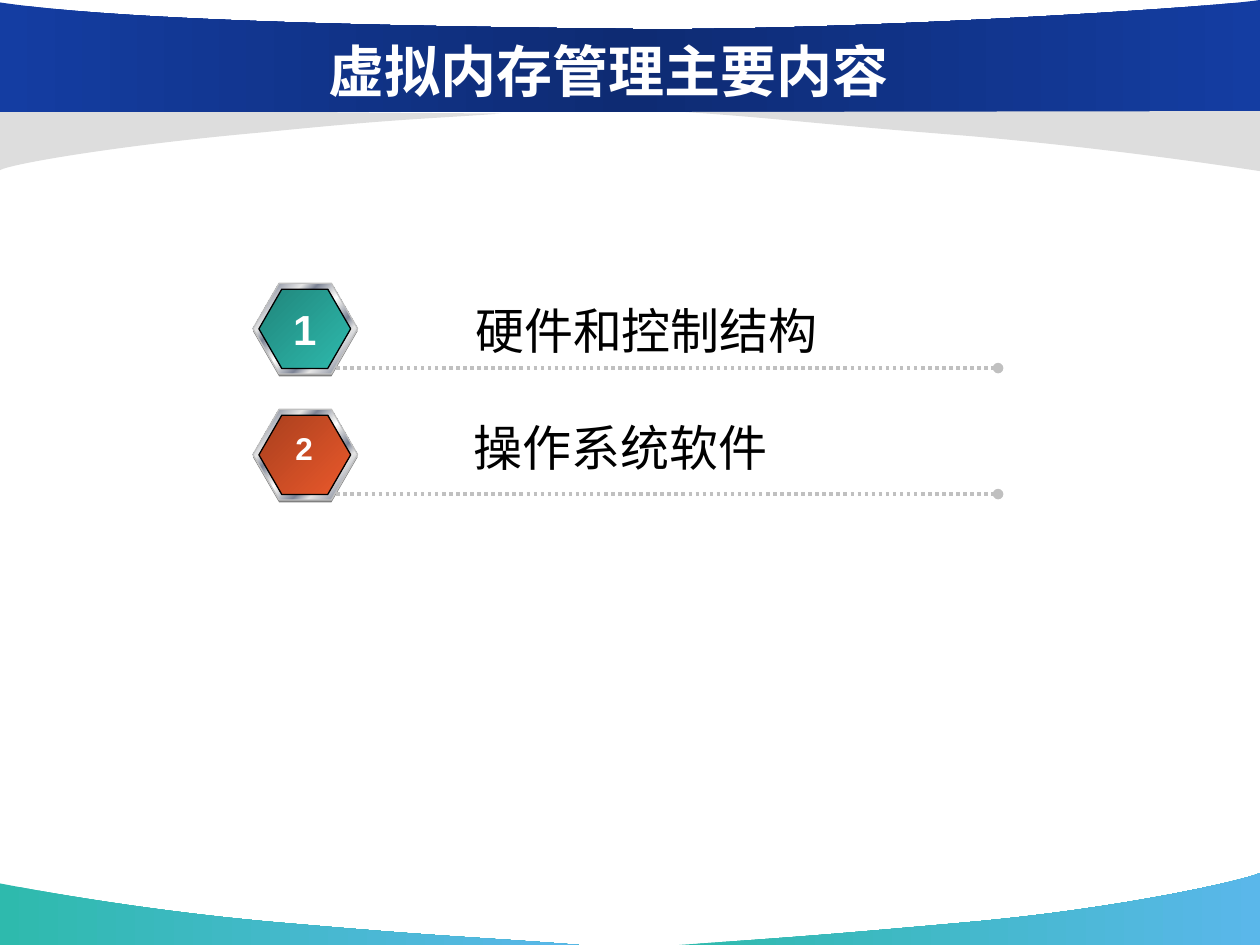
"""Build the slide listing the main topics of virtual memory management."""
from dataclasses import dataclass
from typing import Optional

import lxml.etree
import pptx
import pptx.dml.color
import pptx.enum.dml
import pptx.enum.shapes
import pptx.enum.text
import pptx.oxml.ns
import pptx.util

Cm = pptx.util.Cm
Pt = pptx.util.Pt
qn = pptx.oxml.ns.qn
Point = tuple[float, float]
Box = tuple[float, float, float, float]
Stops = list[tuple[int, str]]

COLORS = {
    "white": "FFFFFF", "black": "000000", "shadow": "808080",
    "silver": "C0C0C0", "mist": "DDDDDD", "blue": "143DA2",
    "teal": "2EBAAD", "sky": "5AB7EA", "orange": "EB592B",
    "chrome": "E6E6E6", "steel": "7D8496",
}
SHADED = {"navy": "blue", "deep_teal": "teal", "rust": "orange"}
SHADE = "46275"
FOOTER: Stops = [(0, "teal"), (100, "sky")]
BANNER: Stops = [(0, "blue"), (50, "navy"), (100, "blue")]
METAL: Stops = [
    (0, "chrome"), (8, "steel"), (26, "chrome"), (34, "steel"),
    (46, "chrome"), (50, "white"), (54, "chrome"), (66, "steel"),
    (74, "chrome"), (92, "steel"), (100, "chrome"),
]
ROW_PITCH = 2.54


@dataclass
class Swoosh:
    """A band edged by two joined cubic curves and closed by corners."""
    curve: list[Point]
    corners: list[Point]
    fill: str | Stops


@dataclass
class Topic:
    """A numbered topic with its badge colours and label box."""
    number: str
    number_size: int
    label: str
    label_box: Box
    badge: Stops


SWOOSHES = [
    Swoosh([(11.68, 19.05), (9.75, 18.9), (9.09, 18.9), (5.89, 18.62),
            (2.69, 18.36), (0.03, 17.81), (0, 17.81)], [(0, 19.05)], FOOTER),
    Swoosh([(13.69, 19.05), (15.6, 18.92), (16.41, 18.87), (19.53, 18.59),
            (22.66, 18.31), (25.15, 17.73), (25.4, 17.6)], [(25.4, 19.05)], FOOTER),
    Swoosh([(10.11, 2.29), (8.41, 2.41), (8.08, 2.39), (5.28, 2.67),
            (2.46, 2.92), (0.23, 3.3), (0, 3.43)], [(0, 2.21)], "mist"),
    Swoosh([(25.4, 0), (24.49, 0.15), (16.59, 0.66), (12.37, 0.58),
            (8.15, 0.53), (2.57, 0.43), (0, 0.05)],
           [(0, 2.26), (25.4, 2.26)], BANNER),
    Swoosh([(13.82, 2.26), (15.75, 2.39), (16.31, 2.49), (19.51, 2.74),
            (22.71, 3.02), (25.37, 3.45), (25.4, 3.45)], [(25.4, 2.24)], "mist"),
]
TOPICS = [
    Topic("1", 24, "硬件和控制结构", (9.33, 5.94, 8.38, 1.45),
          [(0, "deep_teal"), (100, "teal")]),
    Topic("2", 18, "操作系统软件", (9.3, 8.29, 11.38, 1.45),
          [(0, "rust"), (100, "orange")]),
]


def rgb(color: str) -> pptx.dml.color.RGBColor:
    """Return a palette colour."""
    return pptx.dml.color.RGBColor.from_string(COLORS[color])


def add_stop(stop_list, position: int, color: str) -> None:
    """Add a gradient stop, darkened when its colour is a shade."""
    stop = lxml.etree.SubElement(stop_list, qn("a:gs"), pos=str(position * 1000))
    base = COLORS[SHADED.get(color, color)]
    value = lxml.etree.SubElement(stop, qn("a:srgbClr"), val=base)
    if color in SHADED:
        lxml.etree.SubElement(value, qn("a:shade"), val=SHADE)


def paint(shape, fill: str | Stops, angle: int = 0, line: Optional[str] = None) -> None:
    """Give a shape a solid or gradient fill and an optional thin outline."""
    shape.shadow.inherit = False
    if isinstance(fill, str):
        shape.fill.solid()
        shape.fill.fore_color.rgb = rgb(fill)
    else:
        shape.fill.gradient()
        shape.fill.gradient_angle = -angle % 360
        stop_list = shape._element.spPr.find(".//" + qn("a:gsLst"))
        stop_list[:] = []
        for position, color in fill:
            add_stop(stop_list, position, color)
    if line:
        shape.line.color.rgb = rgb(line)
        shape.line.width = Pt(0.75)
    else:
        shape.line.fill.background()


def draw_swoosh(shapes, swoosh: Swoosh) -> None:
    """Draw a band whose curve points become cubic segments."""
    start, *rest = [(Cm(x), Cm(y)) for x, y in swoosh.curve + swoosh.corners]
    builder = shapes.build_freeform(*start)
    builder.add_line_segments(rest)
    band = builder.convert_to_shape()
    segments = band._element.spPr.findall(".//" + qn("a:lnTo"))
    for first in range(0, len(swoosh.curve) - 1, 3):
        control, *others = segments[first:first + 3]
        control.tag = qn("a:cubicBezTo")
        for other in others:
            control.append(other[0])
            other.getparent().remove(other)
    paint(band, swoosh.fill)


def add_text(shapes, text: str, box: Box, *, size: int, color: str = "black",
             bold: bool = False, centered: bool = False, wrap: bool = True,
             middle: bool = False) -> None:
    """Add a one-paragraph text box."""
    frame = shapes.add_textbox(*map(Cm, box)).text_frame
    frame.word_wrap = wrap
    if middle:
        frame.vertical_anchor = pptx.enum.text.MSO_ANCHOR.MIDDLE
    paragraph = frame.paragraphs[0]
    if centered:
        paragraph.alignment = pptx.enum.text.PP_ALIGN.CENTER
    run = paragraph.add_run()
    run.text = text
    run.font.name = "Arial"
    run.font.size = Pt(size)
    run.font.bold = bold
    run.font.color.rgb = rgb(color)


def add_hexagon(shapes, box: Box, fill: str | Stops, line: Optional[str] = None) -> None:
    """Add one layer of a badge."""
    hexagon = shapes.add_shape(pptx.enum.shapes.MSO_SHAPE.HEXAGON, *map(Cm, box))
    hexagon.adjustments[0] = 0.289
    paint(hexagon, fill, 45, line)


def add_rule(shapes, left: float, right: float, top: float) -> None:
    """Add a dotted rule that ends in a dot."""
    rule = shapes.add_connector(pptx.enum.shapes.MSO_CONNECTOR.STRAIGHT,
                                Cm(left), Cm(top), Cm(right), Cm(top))
    rule.line.color.rgb = rgb("silver")
    rule.line.width = Pt(2)
    rule.line.dash_style = pptx.enum.dml.MSO_LINE.ROUND_DOT
    properties = rule._element.spPr
    lxml.etree.SubElement(properties.find(qn("a:ln")), qn("a:tailEnd"), type="oval")
    lxml.etree.SubElement(properties, qn("a:effectLst"))


def draw_topic(shapes, topic: Topic, offset: float) -> None:
    """Draw a badge, its rule and its label as one group."""
    row = shapes.add_group_shape().shapes
    add_hexagon(row, (5.1, 5.76 + offset, 2.11, 1.83), "shadow")
    add_hexagon(row, (5.1, 5.71 + offset, 2.11, 1.83), METAL, "silver")
    add_hexagon(row, (5.22, 5.83 + offset, 1.85, 1.6), topic.badge, "black")
    add_rule(row, 6.78, 20.12, 7.42 + offset)
    add_text(row, topic.label, topic.label_box, size=28)
    add_text(row, topic.number, (5.66, 5.99 + offset, 0.94, 1.3), size=topic.number_size,
             color="white", bold=True, centered=True, wrap=False)


def main() -> None:
    """Build and save the slide."""
    deck = pptx.Presentation()
    deck.slide_width, deck.slide_height = Cm(25.4), Cm(19.05)
    shapes = deck.slides.add_slide(deck.slide_layouts[6]).shapes
    for swoosh in SWOOSHES:
        draw_swoosh(shapes, swoosh)
    add_text(shapes, "虚拟内存管理主要内容", (2.32, 0.62, 19.89, 1.57), size=32,
             color="white", bold=True, centered=True, middle=True)
    for index, topic in enumerate(TOPICS):
        draw_topic(shapes, topic, index * ROW_PITCH)
    deck.save("out.pptx")


if __name__ == "__main__":
    main()
